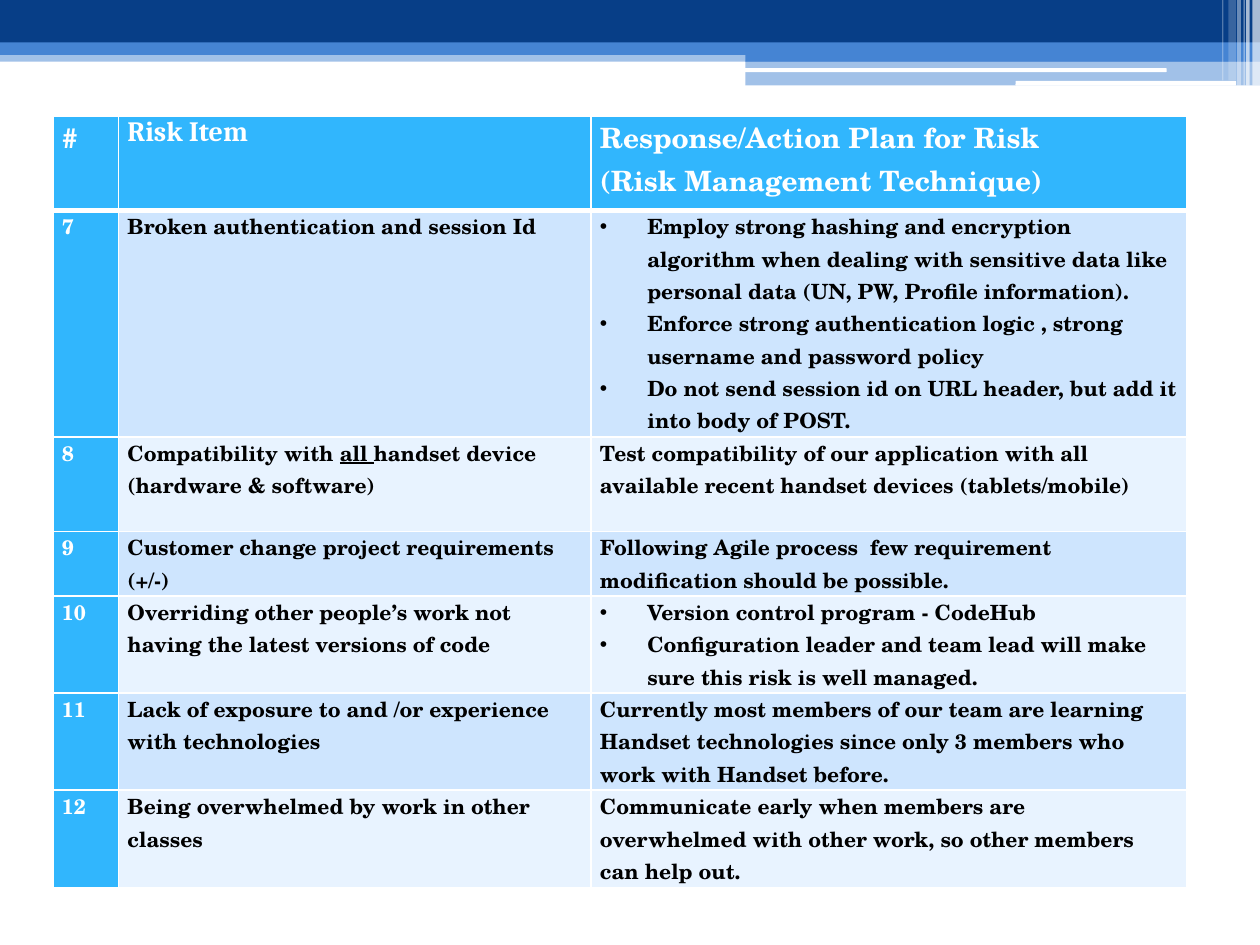
"""Builds a risk table slide with a banded blue header."""
import pptx
import pptx.util
import pptx.dml.color
import pptx.enum.shapes
import pptx.oxml
import lxml.etree

Pt = pptx.util.Pt
FONT = "TeX Gyre Schola"
BLUE, SKY = "4584D3", "31B6FD"
NS = 'xmlns:a="http://schemas.openxmlformats.org/drawingml/2006/main"'


def paint(fill, tone, alpha=100):
    fill.solid()
    fill.fore_color.rgb = pptx.dml.color.RGBColor.from_string(tone)
    if alpha < 100:
        node = fill._xPr.find(".//" + pptx.oxml.ns.qn("a:srgbClr"))
        lxml.etree.SubElement(node, pptx.oxml.ns.qn("a:alpha")).set("val", str(alpha * 1000))


deck = pptx.Presentation()
deck.slide_width, deck.slide_height = Pt(720), Pt(540)
slide = deck.slides.add_slide(deck.slide_layouts[6])

bands = [
    (0, 28.8, 720, 6.5, BLUE, 50),
    (0, 0, 720, 24.5, "073E87", 100),
    (0, 24.2, 720, 7.2, BLUE, 100),
    (426, 28, 294, 7.2, BLUE, 100),
    (426, 34.6, 294, 14.2, BLUE, 50),
    (425.5, 39, 241.2, 2.2, "FFFFFF", 100),
    (580.3, 46.2, 126, 2.7, "FFFFFF", 100),
    (715.7, 0, 4.3, 49, "FFFFFF", 65),
    (712.1, 0, 2.1, 49, "FFFFFF", 65),
    (710.6, 0, 0.7, 49, "FFFFFF", 60),
    (707, 0, 2.1, 49, "FFFFFF", 40),
    (702, 0, 4.3, 46, "FFFFFF", 20),
    (698.4, 0, 0.7, 46, "FFFFFF", 30),
]
kinds = pptx.enum.shapes.MSO_SHAPE
for left, top, wide, high, tone, alpha in bands:
    white = tone == "FFFFFF" and alpha == 100
    kind = kinds.ROUNDED_RECTANGLE if white else kinds.RECTANGLE
    band = slide.shapes.add_shape(kind, Pt(left), Pt(top), Pt(wide), Pt(high))
    band.shadow.inherit = False
    band.line.fill.background()
    paint(band.fill, tone, alpha)

rows = [
    ("#", "Risk Item", ["Response/Action Plan for Risk", "(Risk Management Technique)"]),
    ("7", "Broken authentication and session Id", [
        "Employ strong hashing and encryption algorithm when dealing with sensitive data "
        "like personal data (UN, PW, Profile information).",
        "Enforce strong authentication logic , strong username and password policy",
        "Do not send session id on URL header, but add it into body of POST."]),
    ("8", "Compatibility with |all |handset device (hardware & software)", [
        "Test compatibility of our application with all available recent handset devices "
        "(tablets/mobile)"]),
    ("9", "Customer change project requirements (+/-)", [
        "Following Agile process  few requirement modification should be possible."]),
    ("10", "Overriding other people’s work not having the latest versions of code", [
        "Version control program - CodeHub",
        "Configuration leader and team lead will make sure this risk is well managed."]),
    ("11", "Lack of exposure to and /or experience with technologies", [
        "Currently most members of our team are learning Handset technologies since only "
        "3 members who work with Handset before."]),
    ("12", "Being overwhelmed by work in other classes", [
        "Communicate early when members are overwhelmed with other work, so other members "
        "can help out."]),
]
highs = [54, 126, 54, 36, 54, 54, 54]
wides = [37.5, 270, 340.5]
table = slide.shapes.add_table(
    len(rows), len(wides), Pt(30.2), Pt(66.2), Pt(sum(wides)), Pt(sum(highs))).table
for col, wide in zip(table.columns, wides):
    col.width = Pt(wide)

for i, (row, high) in enumerate(zip(rows, highs)):
    table.rows[i].height = Pt(high)
    for j, text in enumerate(row):
        cell = table.cell(i, j)
        cell.margin_left = cell.margin_right = Pt(5.2)
        cell.margin_top = cell.margin_bottom = 0
        head = i == 0 or j == 0
        for side in "LRTB":
            thick = 3 if (i == 0 and side == "B") or (i == 1 and side == "T") else 1
            cell._tc.get_or_add_tcPr().append(pptx.oxml.parse_xml(
                f'<a:ln{side} {NS} w="{Pt(thick)}"><a:solidFill>'
                f'<a:srgbClr val="FFFFFF"/></a:solidFill></a:ln{side}>'))
        paint(cell.fill, SKY if head else ("CEE5FE" if i % 2 else "E8F3FF"))
        lines = text if j == 2 else [text]
        frame = cell.text_frame
        for k, line in enumerate(lines):
            para = frame.add_paragraph() if k else frame.paragraphs[0]
            for n, part in enumerate(line.split("|")):
                run = para.add_run()
                run.text = part
                if n == 1:
                    run.font.underline = True
            font = para.font
            font.name = "Cambria" if (i, j) == (0, 1) else FONT
            font.size = Pt(16 if i == 0 else 12)
            font.bold = True
            paint(font.fill, "FFFFFF" if head else "000000")
            if i and len(lines) > 1:
                props = para._p.get_or_add_pPr()
                props.set("marL", str(Pt(27)))
                props.set("indent", str(-Pt(27)))
                for tag in ('buFont typeface="Arial"', 'buChar char="•"'):
                    props.insert(len(props) - 1, pptx.oxml.parse_xml(f"<a:{tag} {NS}/>"))

deck.save("out.pptx")
